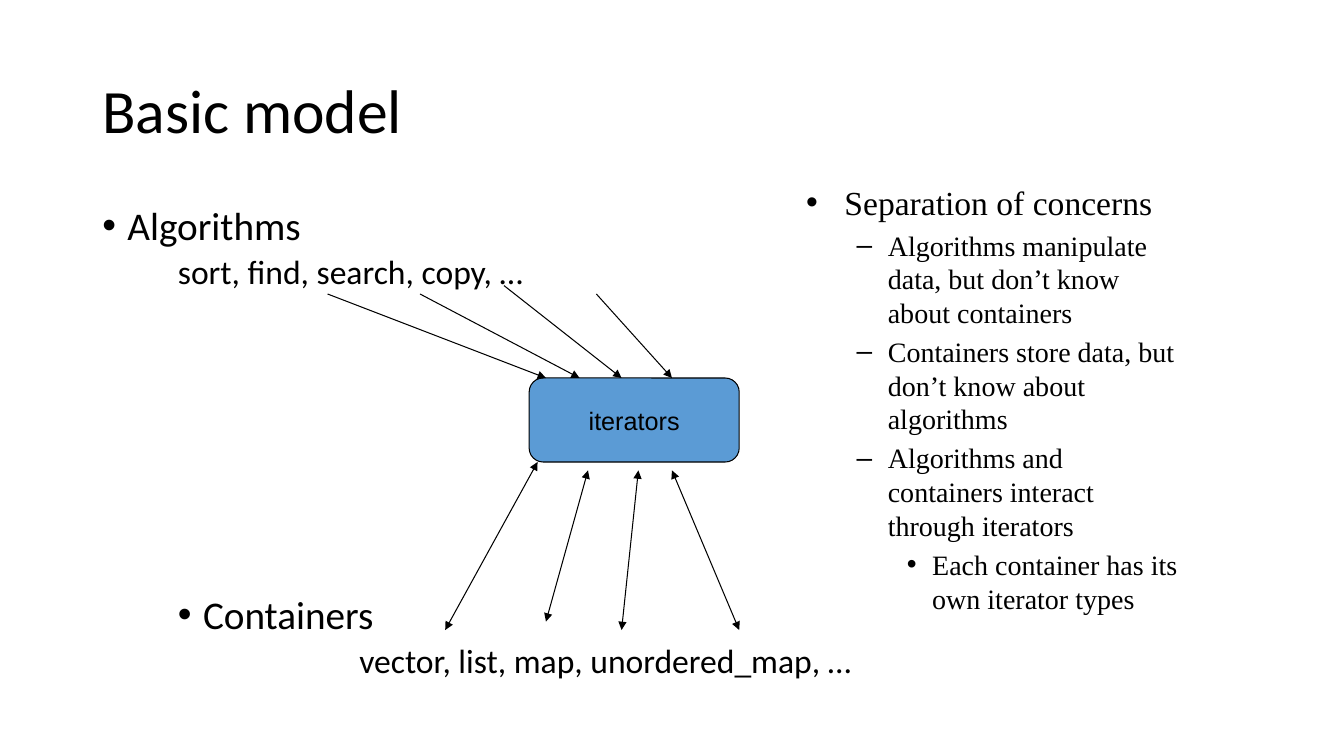
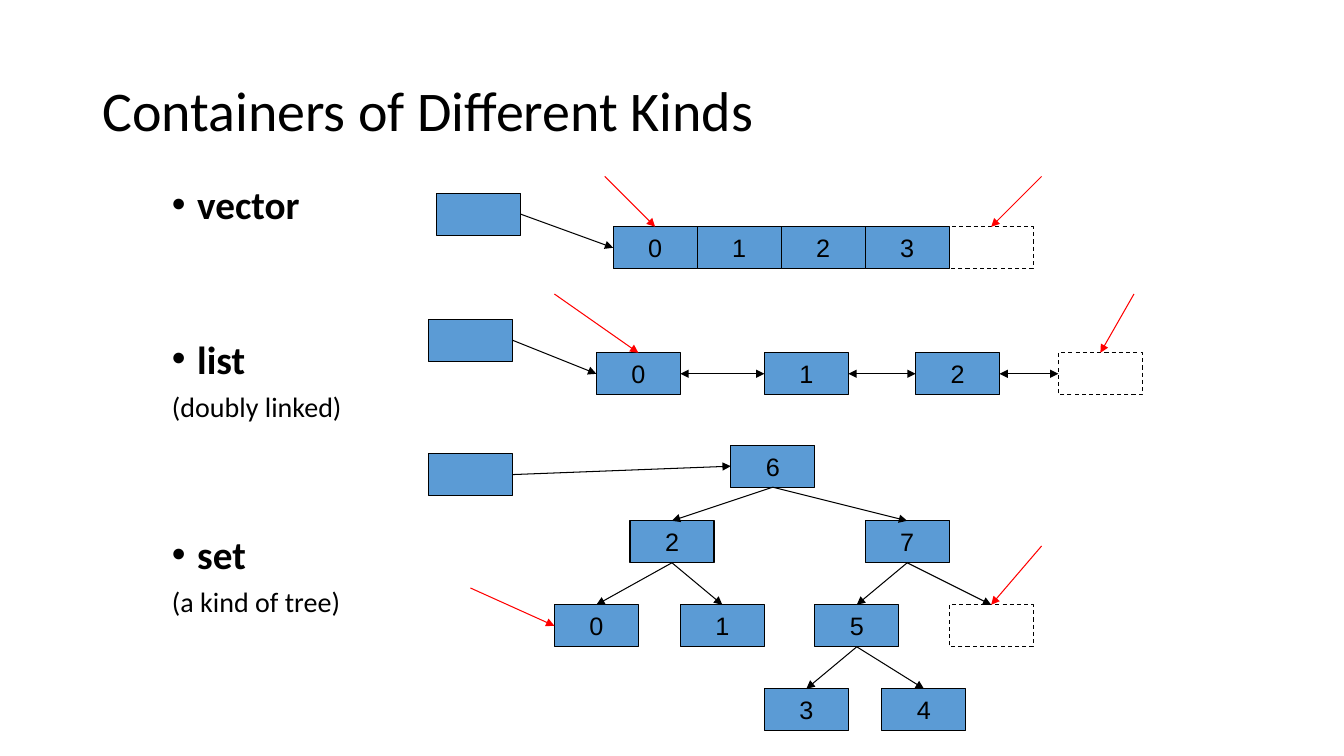
from dataclasses import dataclass
from itertools import pairwise

from pptx import Presentation
from pptx.dml.color import RGBColor
from pptx.enum.dml import MSO_LINE_DASH_STYLE as Dash
from pptx.enum.shapes import MSO_CONNECTOR as Link, MSO_SHAPE as Preset
from pptx.enum.text import MSO_ANCHOR as Anchor, PP_ALIGN as Align
from pptx.oxml.xmlchemy import OxmlElement as Element
from pptx.shapes.autoshape import Shape
from pptx.shapes.connector import Connector
from pptx.slide import Slide
from pptx.util import Emu, Inches, Pt

COLUMNS, ROWS = 160, 90
BLACK, BLUE, RED = "000000", "5B9BD5", "FF0000"
SANS, SERIF, LABEL = "Calibri", "Times New Roman", "Arial"
NODE_WIDTH, NODE_HEIGHT = 10, 5
TOP, LEFT, BOTTOM, RIGHT = range(4)

Point = tuple[float, float]


@dataclass(frozen=True)
class Area:
    column: float
    row: float
    columns: float
    rows: float


@dataclass(frozen=True)
class Line:
    text: str
    size: float
    font: str = SANS
    margin: float = 0
    hanging: float = 0
    bullet: str = ""
    before: float = 0
    spacing: float = 0.9
    bold: bool = False


@dataclass(frozen=True)
class Node:
    column: float
    row: float
    label: str = ""
    past_end: bool = False


@dataclass(frozen=True)
class Marker:
    start: Point
    target: Shape
    side: int = TOP


deck = Presentation()
deck.slide_width, deck.slide_height = Inches(13.333), Inches(7.5)


def across(columns: float) -> Emu:
    return Emu(round(deck.slide_width * columns / COLUMNS))


def down(rows: float) -> Emu:
    return Emu(round(deck.slide_height * rows / ROWS))


def frame(area: Area) -> tuple[Emu, Emu, Emu, Emu]:
    return across(area.column), down(area.row), across(area.columns), down(area.rows)


def colour(value: str) -> RGBColor:
    return RGBColor.from_string(value)


def add_run(paragraph, text: str, size: float, font: str, bold: bool = False) -> None:
    run = paragraph.add_run()
    run.text = text
    run.font.size, run.font.name, run.font.bold = Pt(size), font, bold
    run.font.color.rgb = colour(BLACK)


def set_bullet(paragraph, line: Line) -> None:
    properties = paragraph._p.get_or_add_pPr()
    properties.set("marL", str(Inches(line.margin)))
    properties.set("indent", str(-Inches(line.hanging)))
    if line.bullet:
        typeface = Element("a:buFont")
        typeface.set("typeface", LABEL)
        mark = Element("a:buChar")
        mark.set("char", line.bullet)
        properties.extend((typeface, mark))


def add_text(slide: Slide, area: Area, lines: list[Line], anchor: Anchor = Anchor.TOP) -> None:
    text = slide.shapes.add_textbox(*frame(area)).text_frame
    text.word_wrap, text.vertical_anchor = True, anchor
    for index, line in enumerate(lines):
        paragraph = text.add_paragraph() if index else text.paragraphs[0]
        paragraph.line_spacing = line.spacing
        paragraph.space_before = Pt(line.before)
        set_bullet(paragraph, line)
        add_run(paragraph, line.text, line.size, line.font, line.bold)


def add_titled_slide(title: str, size: float) -> Slide:
    slide = deck.slides.add_slide(deck.slide_layouts[6])
    add_text(slide, Area(11, 4.8, 138, 17.4), [Line(title, size)], Anchor.MIDDLE)
    return slide


def add_box(slide: Slide, area: Area, label: str = "",
            preset: Preset = Preset.RECTANGLE, past_end: bool = False) -> Shape:
    box = slide.shapes.add_shape(preset, *frame(area))
    box.shadow.inherit = False
    box.line.color.rgb, box.line.width = colour(BLACK), Pt(0.75)
    if past_end:
        box.fill.background()
        box.line.dash_style = Dash.DASH
    else:
        box.fill.solid()
        box.fill.fore_color.rgb = colour(BLUE)
    if label:
        text = box.text_frame
        text.word_wrap, text.vertical_anchor = False, Anchor.MIDDLE
        text.paragraphs[0].alignment = Align.CENTER
        add_run(text.paragraphs[0], label, 18, LABEL)
    return box


def add_node(slide: Slide, node: Node) -> Shape:
    area = Area(node.column, node.row, NODE_WIDTH, NODE_HEIGHT)
    return add_box(slide, area, node.label, past_end=node.past_end)


def add_arrow(slide: Slide, start: Point, end: Point,
              ink: str = BLACK, both_ways: bool = False) -> Connector:
    arrow = slide.shapes.add_connector(
        Link.STRAIGHT, across(start[0]), down(start[1]), across(end[0]), down(end[1]))
    arrow.line.color.rgb, arrow.line.width = colour(ink), Pt(0.75)
    outline = arrow.line._get_or_add_ln()
    for tag in ("a:headEnd", "a:tailEnd") if both_ways else ("a:tailEnd",):
        tip = Element(tag)
        tip.set("type", "triangle")
        outline.append(tip)
    arrow._element.spPr.append(Element("a:effectLst"))
    return arrow


def join(slide: Slide, source: Shape, source_side: int, target: Shape, target_side: int,
         both_ways: bool = False) -> None:
    arrow = add_arrow(slide, (0, 0), (1, 1), both_ways=both_ways)
    arrow.begin_connect(source, source_side)
    arrow.end_connect(target, target_side)


def add_marker(slide: Slide, marker: Marker) -> None:
    arrow = add_arrow(slide, marker.start, (0, 0), RED)
    arrow.end_connect(marker.target, marker.side)


def topic(text: str) -> Line:
    return Line(text, 28, margin=0.25, hanging=0.25, bullet="•")


def examples(text: str, margin: float) -> Line:
    return Line(text, 24, margin=margin, before=5)


def concern(text: str) -> Line:
    return Line(text, 20, SERIF, 0.81, 0.31, "–", 4, 1)


def kind(text: str, before: float = 0) -> Line:
    return Line(text, 28, SANS, 0.25, 0.25, "•", before, 0.8, True)


def remark(text: str) -> Line:
    return Line(text, 20, before=10, spacing=0.8)


def build_basic_model() -> None:
    slide = add_titled_slide("Basic model", 44)
    add_text(slide, Area(11, 24, 83, 16), [
        topic("Algorithms"), examples("sort, find, search, copy, …", 0.75)])
    add_text(slide, Area(20, 70.3, 84, 15.4), [
        topic("Containers"), examples("vector, list, map, unordered_map, …", 1.8)])
    add_box(slide, Area(63, 45, 25, 10), "iterators", Preset.ROUNDED_RECTANGLE)
    add_text(slide, Area(94.8, 21.1, 47, 62), [
        Line("Separation of concerns", 24, SERIF, 0.38, 0.38, "•", spacing=1),
        concern("Algorithms manipulate data, but don’t know about containers"),
        concern("Containers store data, but don’t know about algorithms"),
        concern("Algorithms and containers interact through iterators"),
        Line("Each container has its own iterator types", 20, SERIF, 1.25, 0.25, "•", 4, 1),
    ])
    algorithm_arrows = [
        ((39, 35), (65, 45)), ((50, 35), (69, 45)), ((60, 34), (74, 45)), ((71, 35), (80, 45))]
    container_arrows = [
        ((88, 75), (80, 56)), ((74, 75), (76, 56)), ((65, 74), (70, 56)), ((53, 75), (64, 55))]
    for start, end in algorithm_arrows:
        add_arrow(slide, start, end)
    for start, end in container_arrows:
        add_arrow(slide, start, end, both_ways=True)


def build_container_kinds() -> None:
    slide = add_titled_slide("Containers of Different Kinds", 40)
    add_text(slide, Area(19.3, 22, 30, 54), [
        kind("vector"),
        kind("list", 83.5), remark("(doubly linked)"),
        kind("set", 83.5), remark("(a kind of tree)"),
    ])
    vector = [add_node(slide, Node(73 + NODE_WIDTH * index, 27, label, not label))
              for index, label in enumerate(("0", "1", "2", "3", ""))]
    chain = [add_node(slide, Node(column, 42, label, not label))
             for column, label in ((71, "0"), (91, "1"), (109, "2"), (126, ""))]
    tree_nodes = [
        Node(87, 53, "6"), Node(75, 62, "2"), Node(103, 62, "7"),
        Node(66, 72, "0"), Node(81, 72, "1"), Node(97, 72, "5"),
        Node(113, 72, past_end=True), Node(91, 82, "3"), Node(105, 82, "4")]
    tree = {node.label or "end": add_node(slide, node) for node in tree_nodes}

    handles = [(Node(52, 23), vector[0]), (Node(51, 38), chain[0]), (Node(51, 54), tree["6"])]
    for handle, first in handles:
        join(slide, add_node(slide, handle), RIGHT, first, LEFT)
    for previous, following in pairwise(chain):
        join(slide, previous, RIGHT, following, LEFT, both_ways=True)
    children = {"6": ("2", "7"), "2": ("0", "1"), "7": ("5", "end"), "5": ("3", "4")}
    for parent, branches in children.items():
        for child in branches:
            join(slide, tree[parent], BOTTOM, tree[child], TOP)

    for marker in (
        Marker((72, 21), vector[0]), Marker((124, 21), vector[-1]),
        Marker((66, 35), chain[0]), Marker((135, 35), chain[-1]),
        Marker((56, 70), tree["0"], LEFT), Marker((124, 65), tree["end"]),
    ):
        add_marker(slide, marker)


build_basic_model()
build_container_kinds()
deck.save("out.pptx")
